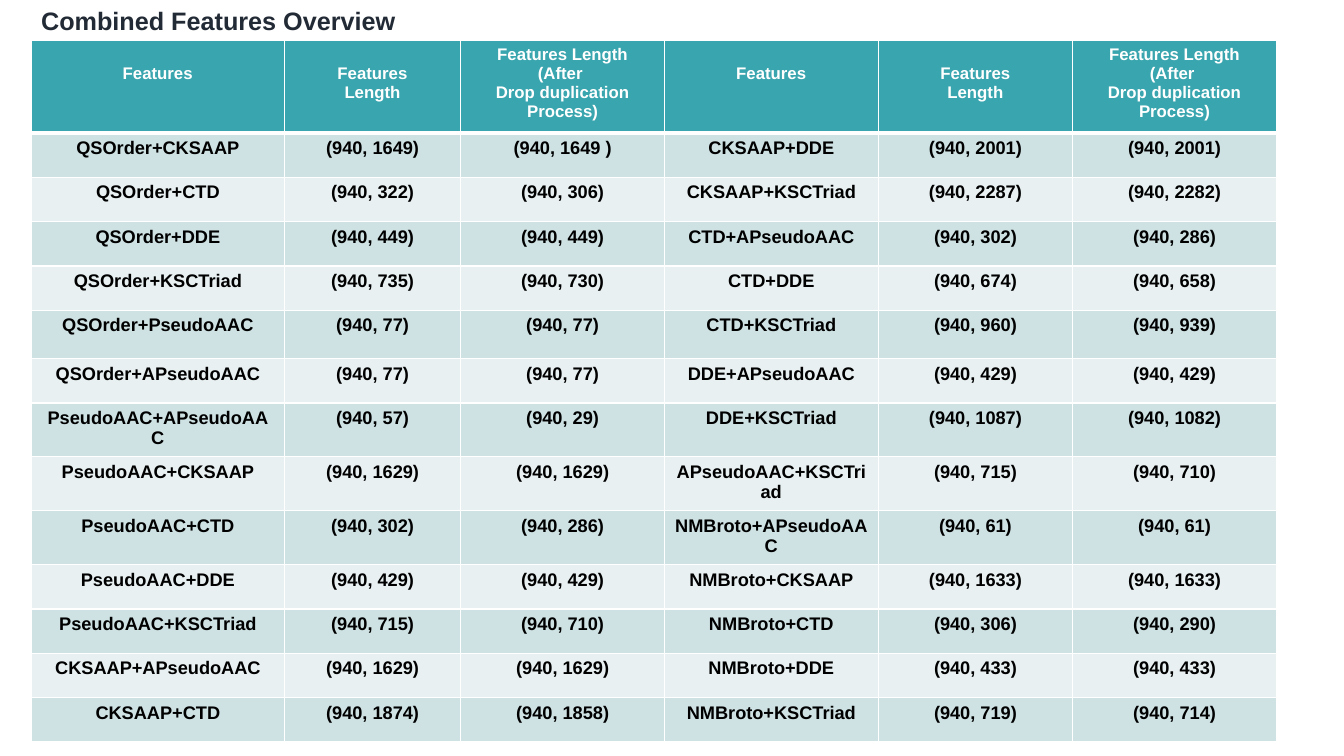
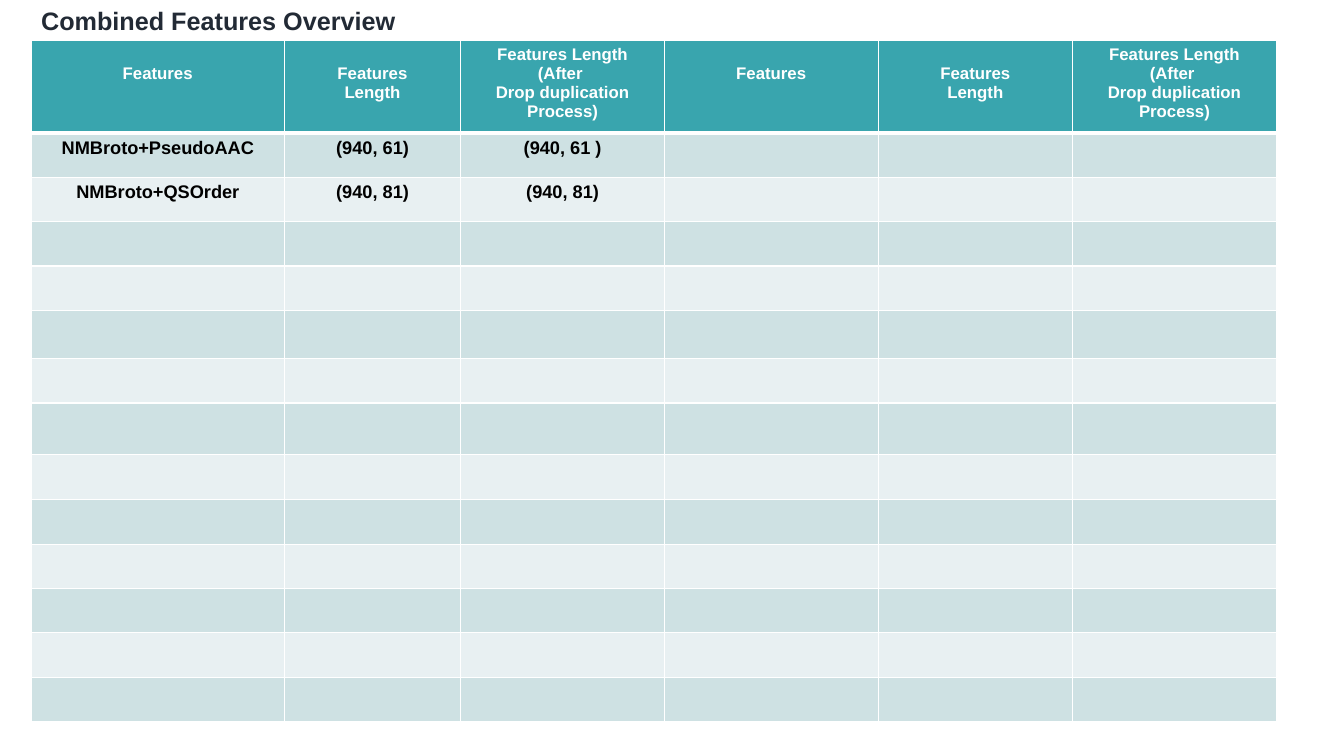
from dataclasses import dataclass
from itertools import zip_longest

from lxml.etree import SubElement
from pptx import Presentation
from pptx.dml.color import RGBColor as Rgb
from pptx.enum.text import MSO_AUTO_SIZE as AutoSize, PP_ALIGN as Align
from pptx.oxml.ns import qn
from pptx.util import Inches, Pt


@dataclass(frozen=True)
class Theme:
    font: str = "Arial"
    title_ink: str = "222A35"
    header_ink: str = "FFFFFF"
    body_ink: str = "000000"
    header_fill: str = "39A5AE"
    bands: tuple = ("CEE1E3", "E8F0F2")
    rule: str = "FFFFFF"
    title_size: int = 18
    header_size: int = 12
    body_size: int = 13


THEME = Theme()
TITLE = "Combined Features Overview"
TITLE_BOX = (0.31, 0, 9.45, 0.4)
TABLE_ORIGIN = (0.31, 0.4)
COLUMN_WIDTHS = (2.51, 1.75, 2.02, 2.12, 1.93, 2.02)
HEADER_HEIGHT = 0.92
BODY_HEIGHTS = (0.44,) * 4 + (0.48, 0.44, 0.51, 0.45) + (0.44,) * 5
CELL_INSET = 0.05
HEADER_LINE = 0.19

# Each heading: its lines, and how many line heights it sits below the top.
HEADINGS = (
    (("Features",), 1),
    (("Features", "Length"), 1),
    (("Features Length", "(After ", "Drop duplication Process)"), 0),
) * 2

# Each entry: feature pair, length, length after dropping duplicates.
OVERVIEW_LEFT = (
    ("QSOrder+CKSAAP", "1649", "1649 "),
    ("QSOrder+CTD", "322", "306"),
    ("QSOrder+DDE", "449", "449"),
    ("QSOrder+KSCTriad", "735", "730"),
    ("QSOrder+PseudoAAC", "77", "77"),
    ("QSOrder+APseudoAAC", "77", "77"),
    ("PseudoAAC+APseudoAAC", "57", "29"),
    ("PseudoAAC+CKSAAP", "1629", "1629"),
    ("PseudoAAC+CTD", "302", "286"),
    ("PseudoAAC+DDE", "429", "429"),
    ("PseudoAAC+KSCTriad", "715", "710"),
    ("CKSAAP+APseudoAAC", "1629", "1629"),
    ("CKSAAP+CTD", "1874", "1858"),
)
OVERVIEW_RIGHT = (
    ("CKSAAP+DDE", "2001", "2001"),
    ("CKSAAP+KSCTriad", "2287", "2282"),
    ("CTD+APseudoAAC", "302", "286"),
    ("CTD+DDE", "674", "658"),
    ("CTD+KSCTriad", "960", "939"),
    ("DDE+APseudoAAC", "429", "429"),
    ("DDE+KSCTriad", "1087", "1082"),
    ("APseudoAAC+KSCTriad", "715", "710"),
    ("NMBroto+APseudoAAC", "61", "61"),
    ("NMBroto+CKSAAP", "1633", "1633"),
    ("NMBroto+CTD", "306", "290"),
    ("NMBroto+DDE", "433", "433"),
    ("NMBroto+KSCTriad", "719", "714"),
)
REMAINDER_LEFT = (
    ("NMBroto+PseudoAAC", "61", "61 "),
    ("NMBroto+QSOrder", "81", "81"),
)


def write_lines(frame, lines, size, ink, align):
    font_format = {"name": THEME.font, "size": Pt(size), "bold": True}
    for index, line in enumerate(lines):
        paragraph = frame.add_paragraph() if index else frame.paragraphs[0]
        paragraph.alignment = align
        run = paragraph.add_run()
        run.text = line
        for attribute, value in font_format.items():
            setattr(run.font, attribute, value)
        run.font.color.rgb = Rgb.from_string(ink)


def style_cell(cell, fill, top_width=1, bottom_width=1):
    """Rule all four sides, then fill: the schema wants the lines first."""
    properties = cell._tc.get_or_add_tcPr()
    widths = {"a:lnL": 1, "a:lnR": 1, "a:lnT": top_width, "a:lnB": bottom_width}
    for side, width in widths.items():
        line = SubElement(properties, qn(side), w=str(Pt(width)))
        solid = SubElement(line, qn("a:solidFill"))
        SubElement(solid, qn("a:srgbClr"), val=THEME.rule)
    cell.fill.solid()
    cell.fill.fore_color.rgb = Rgb.from_string(fill)


def add_title(slide, box):
    frame = slide.shapes.add_textbox(*map(Inches, box)).text_frame
    frame.word_wrap = True
    frame.auto_size = AutoSize.SHAPE_TO_FIT_TEXT
    write_lines(frame, [TITLE], THEME.title_size, THEME.title_ink, Align.LEFT)


def fill_header(table):
    for column, (lines, lines_down) in enumerate(HEADINGS):
        cell = table.cell(0, column)
        style_cell(cell, THEME.header_fill, bottom_width=3)
        cell.margin_top = Inches(CELL_INSET + lines_down * HEADER_LINE)
        write_lines(cell.text_frame, lines, THEME.header_size,
                    THEME.header_ink, Align.CENTER)


def fill_body(table, left, right):
    entries = list(zip_longest(left, right, fillvalue=("",) * 3))
    for row in range(1, len(BODY_HEIGHTS) + 1):
        values = sum(entries[row - 1], ()) if row <= len(entries) else ("",) * 6
        for column, value in enumerate(values):
            cell = table.cell(row, column)
            style_cell(cell, THEME.bands[(row - 1) % 2],
                       top_width=3 if row == 1 else 1)
            if value:
                text = f"(940, {value})" if column % 3 else value
                write_lines(cell.text_frame, [text], THEME.body_size,
                            THEME.body_ink, Align.CENTER)


def add_feature_table(slide, origin, left, right):
    heights = (HEADER_HEIGHT, *BODY_HEIGHTS)
    box = (*origin, sum(COLUMN_WIDTHS), sum(heights))
    table = slide.shapes.add_table(
        len(heights), len(COLUMN_WIDTHS), *map(Inches, box)).table
    for column, width in zip(table.columns, COLUMN_WIDTHS):
        column.width = Inches(width)
    for row, height in zip(table.rows, heights):
        row.height = Inches(height)
    fill_header(table)
    fill_body(table, left, right)


def add_overview_slide(deck, left, right):
    slide = deck.slides.add_slide(deck.slide_layouts[6])
    add_title(slide, TITLE_BOX)
    add_feature_table(slide, TABLE_ORIGIN, left, right)


def main():
    deck = Presentation()
    deck.slide_width, deck.slide_height = Inches(13.33), Inches(7.5)
    add_overview_slide(deck, OVERVIEW_LEFT, OVERVIEW_RIGHT)
    add_overview_slide(deck, REMAINDER_LEFT, ())
    deck.save("out.pptx")


if __name__ == "__main__":
    main()
